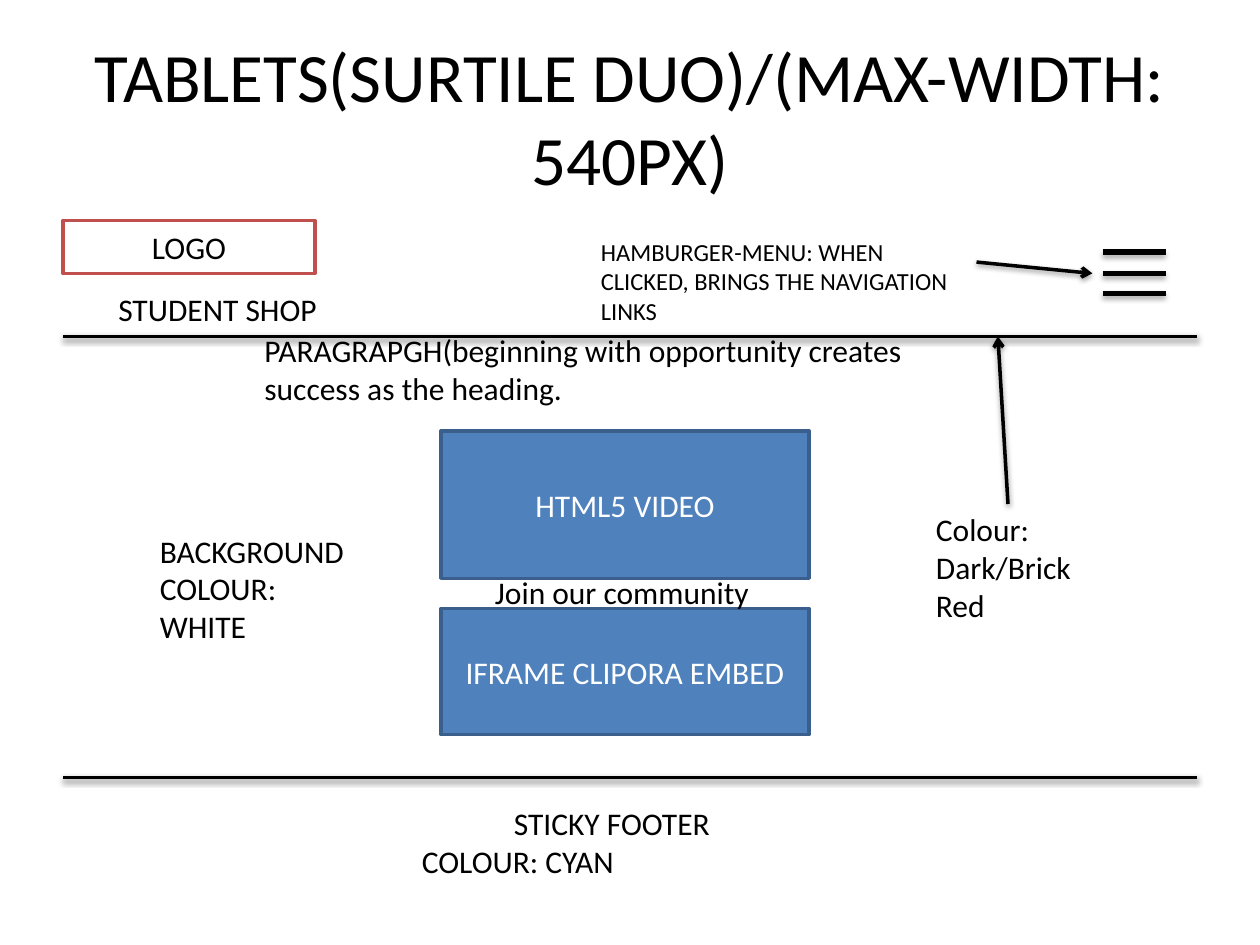
from lxml import etree
from pptx import Presentation
from pptx import util as u
from pptx.dml.color import RGBColor
from pptx.enum import shapes, text
from pptx.oxml.ns import qn

COLORS = {"ink": "000000", "paper": "FFFFFF", "brick": "C0504D",
          "block": "4F81BD", "block_edge": "3A5F8C"}
FONT = "Calibri"
LEFT, RIGHT = 0.5, 9.5
HEADER_RULE, FOOTER_RULE = 2.67, 6.17

# left, top, width, height, size, paragraphs as (wording, indent)
NOTES = [
    (0.67, 2.25, 3.58, 0.4, 18, [("STUDENT SHOP", 0.17)]),
    (2, 2.58, 5.58, 1.01, 18,
     [("PARAGRAPGH(beginning with opportunity creates success as the heading.", 0)]),
    (3.83, 4.5, 3.17, 0.4, 18, [("Join our community", 0)]),
    (3.25, 6.33, 3.25, 0.71, 18, [("STICKY FOOTER", 0.73), ("COLOUR: CYAN", 0)]),
    (1.17, 4.17, 1.83, 1.01, 18, [("BACKGROUND COLOUR: WHITE", 0)]),
    (7.33, 4, 1.67, 1.31, 18, [("Colour: Dark/Brick Red", 0)]),
    (4.67, 1.83, 3.08, 0.81, 14,
     [("HAMBURGER-MENU: WHEN CLICKED, BRINGS THE NAVIGATION LINKS", 0)]),
]


def rgb(name):
    """Return the named colour."""
    return RGBColor.from_string(COLORS[name])


def apply(target, values):
    """Set each attribute in values on target."""
    for attribute, value in values.items():
        setattr(target, attribute, value)


def box(*lengths):
    """Name a left, top, width and height in inches."""
    return dict(zip(("left", "top", "width", "height"), map(u.Inches, lengths)))


def write(frame, paragraphs, size, color="ink", align=text.PP_ALIGN.LEFT,
          anchor=text.MSO_ANCHOR.TOP):
    """Fill a text frame with (wording, indent) paragraphs."""
    apply(frame, {"word_wrap": True, "auto_size": text.MSO_AUTO_SIZE.NONE,
                  "vertical_anchor": anchor})
    for index, (wording, indent) in enumerate(paragraphs):
        paragraph = frame.add_paragraph() if index else frame.paragraphs[0]
        paragraph.alignment = align
        if indent:
            paragraph._p.get_or_add_pPr().set("marL", str(u.Inches(indent)))
        run = paragraph.add_run()
        run.text = wording
        apply(run.font, {"name": FONT, "size": u.Pt(size)})
        run.font.color.rgb = rgb(color)


def add_heading(slide, wording):
    """Place and format the title placeholder."""
    heading = slide.shapes.title
    apply(heading, box(0.5, 0.3, 9, 1.25))
    write(heading.text_frame, [(wording, 0)], 39.6,
          align=text.PP_ALIGN.CENTER, anchor=text.MSO_ANCHOR.MIDDLE)


def add_note(slide, left, top, width, height, size, paragraphs):
    """Add a plain text annotation."""
    note = slide.shapes.add_textbox(**box(left, top, width, height))
    write(note.text_frame, paragraphs, size)


def add_block(slide, place, wording, fill="block", edge="block_edge", color="paper"):
    """Add a labelled wireframe rectangle."""
    block = slide.shapes.add_shape(shapes.MSO_SHAPE.RECTANGLE, **box(*place))
    block.shadow.inherit = False
    block.fill.solid()
    block.fill.fore_color.rgb = rgb(fill)
    block.line.color.rgb = rgb(edge)
    block.line.width = u.Pt(2)
    write(block.text_frame, [(wording, 0)], 18, color,
          text.PP_ALIGN.CENTER, text.MSO_ANCHOR.MIDDLE)


def add_rule(slide, start, end, width=2, arrow=False, alpha=38, distance=1.6):
    """Add a line with a soft drop shadow and an optional arrowhead."""
    rule = slide.shapes.add_connector(
        shapes.MSO_CONNECTOR.STRAIGHT, *map(u.Inches, (*start, *end)))
    rule.line.color.rgb = rgb("ink")
    rule.line.width = u.Pt(width)
    properties = rule._element.spPr
    if arrow:
        etree.SubElement(properties.find(qn("a:ln")), qn("a:tailEnd"), type="arrow")
    effects = etree.SubElement(properties, qn("a:effectLst"))
    shadow = etree.SubElement(
        effects, qn("a:outerShdw"), blurRad=str(u.Pt(3.1)), dist=str(u.Pt(distance)),
        dir=str(90 * 60000), rotWithShape="0")
    tint = etree.SubElement(shadow, qn("a:srgbClr"), val=COLORS["ink"])
    etree.SubElement(tint, qn("a:alpha"), val=str(alpha * 1000))


def main():
    """Build the tablet wireframe slide."""
    deck = Presentation()
    apply(deck, {"slide_width": u.Inches(10), "slide_height": u.Inches(7.5)})
    slide = deck.slides.add_slide(deck.slide_layouts[5])
    add_heading(slide, "TABLETS(SURTILE DUO)/(MAX-WIDTH: 540PX)")

    for y in (HEADER_RULE, FOOTER_RULE):
        add_rule(slide, (LEFT, y), (RIGHT, y))
    for y in (2, 2.17, 2.33):
        add_rule(slide, (8.75, y), (9.25, y), width=3, alpha=35, distance=1.8)

    add_block(slide, (LEFT, 1.75, 2, 0.42), "LOGO", "paper", "brick", "ink")
    add_block(slide, (3.5, 3.42, 2.92, 1.17), "HTML5 VIDEO")
    add_block(slide, (3.5, 4.83, 2.92, 1), "IFRAME CLIPORA EMBED")

    for note in NOTES:
        add_note(slide, *note)
    add_rule(slide, (8, 4), (7.92, HEADER_RULE), arrow=True)
    add_rule(slide, (7.75, 2.08), (8.67, 2.17), arrow=True)
    deck.save("out.pptx")


main()
